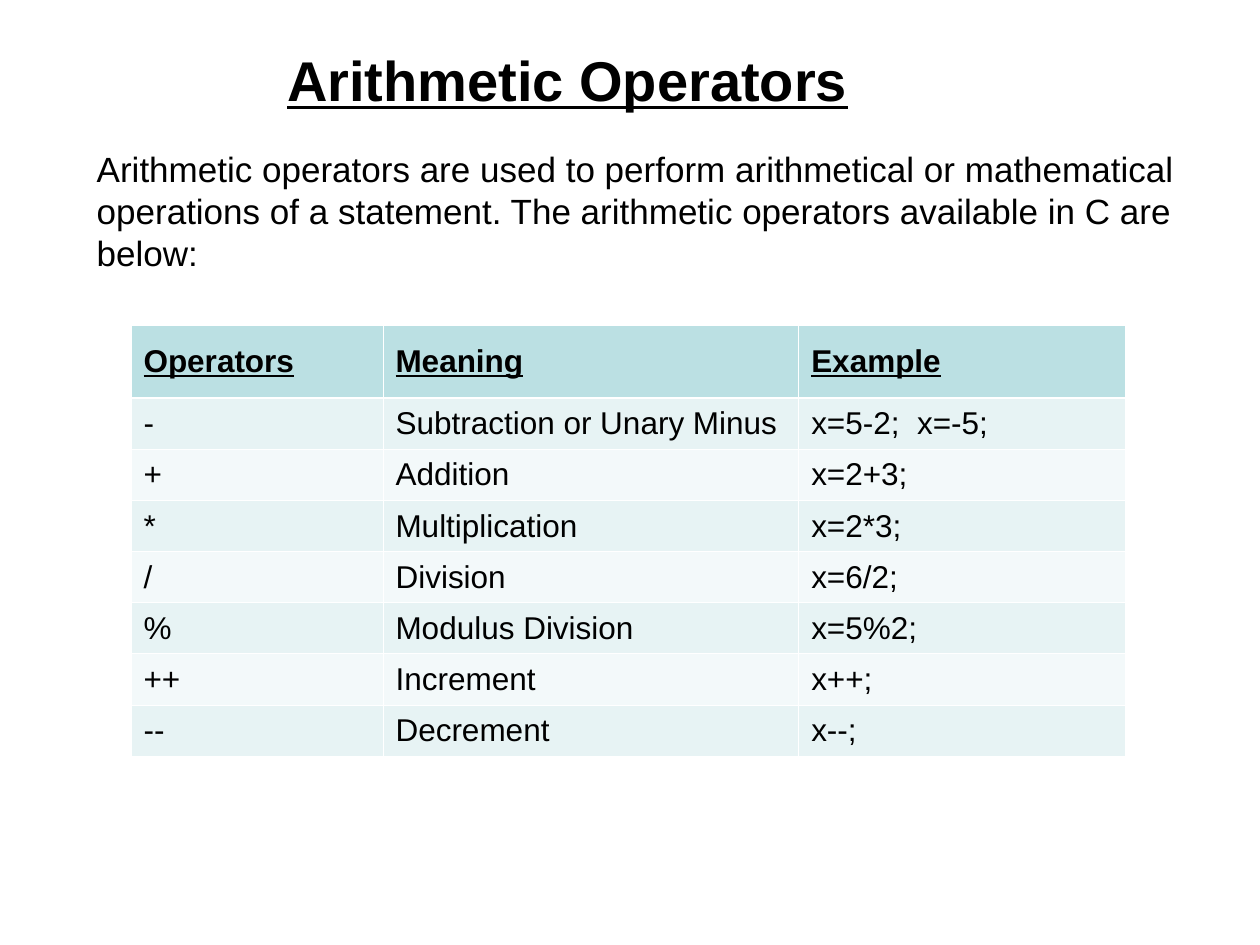
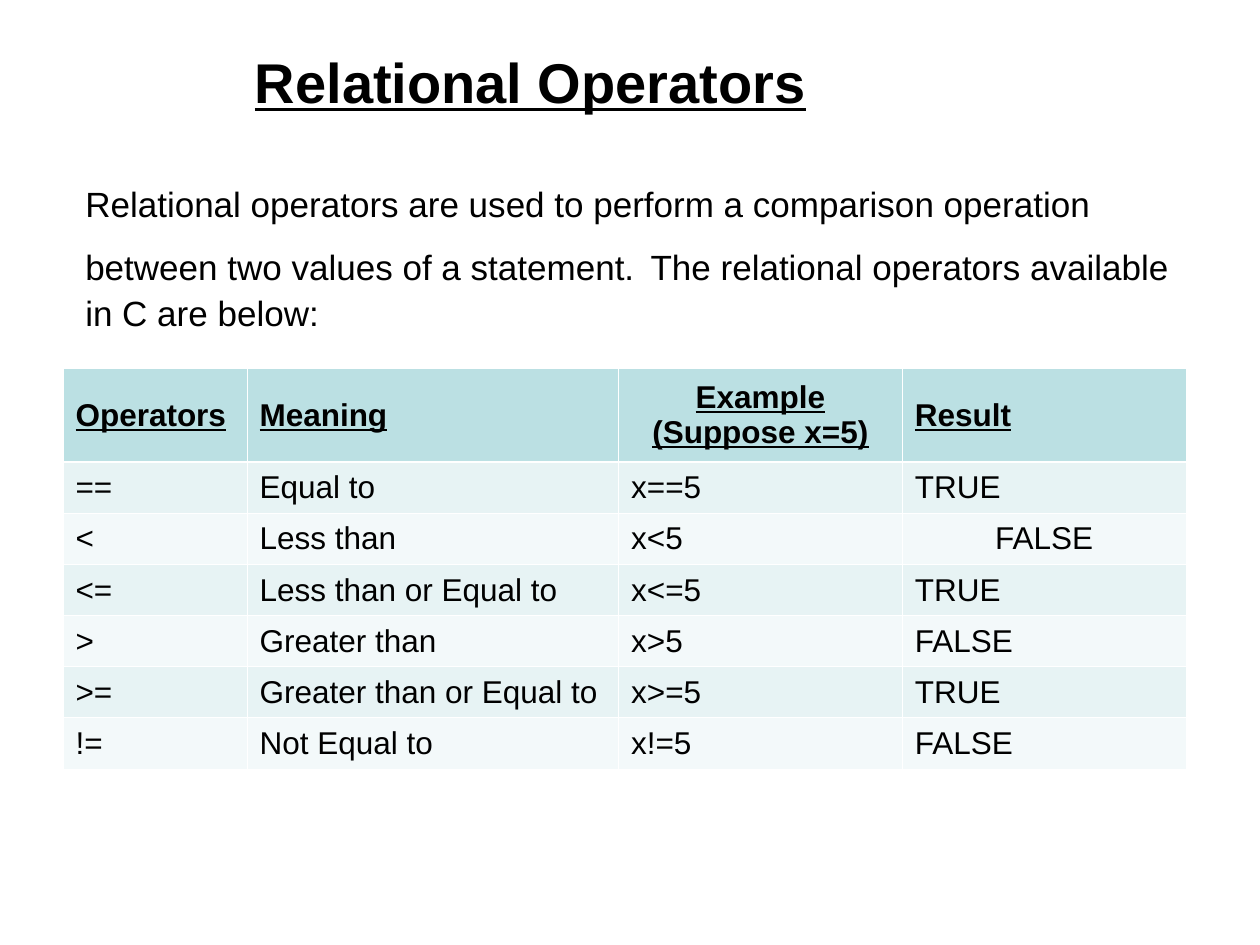
from dataclasses import dataclass

from lxml.etree import SubElement
from pptx import Presentation
from pptx.dml.color import RGBColor
from pptx.enum.text import MSO_ANCHOR, PP_ALIGN
from pptx.oxml.ns import qn
from pptx.slide import Slide
from pptx.table import _Cell
from pptx.text.text import _Paragraph
from pptx.util import Cm, Pt


@dataclass(frozen=True)
class Theme:
    font: str = "Arial"
    ink: str = "000000"
    header_fill: str = "BBE0E3"
    band_fills: tuple[str, str] = ("E7F3F4", "F3F9FA")
    border: str = "FFFFFF"
    thin_border: float = 0.45
    thick_border: float = 1.47
    title_size: int = 32
    intro_size: int = 20
    table_size: int = 18


@dataclass(frozen=True)
class Area:
    left: float
    top: float
    width: float
    height: float


@dataclass(frozen=True)
class Span:
    text: str
    size: int
    strong: bool = False


@dataclass(frozen=True)
class OperatorTable:
    left: float
    top: float
    columns: tuple[float, ...]
    header_height: float
    rows: tuple[tuple[str, ...], ...]
    centred: tuple[tuple[int, int], ...] = ()


@dataclass(frozen=True)
class OperatorPage:
    title: str
    title_area: Area
    intro: tuple[Span, ...]
    intro_area: Area
    table: OperatorTable


THEME = Theme()
ROW_HEIGHT = 1.03

PAGES = (
    OperatorPage(
        title="Arithmetic Operators",
        title_area=Area(4.24, 0.64, 14.4, 1.9),
        intro=(
            Span("Arithmetic operators are used to perform arithmetical or "
                 "mathematical operations of a statement. The arithmetic "
                 "operators available in C are below:", THEME.intro_size),
        ),
        intro_area=Area(1.7, 2.97, 22.23, 2.54),
        table=OperatorTable(
            left=2.64, top=6.56, columns=(5.08, 8.38, 6.58), header_height=1.47,
            rows=(
                ("Operators", "Meaning", "Example"),
                ("-", "Subtraction or Unary Minus", "x=5-2;  x=-5;"),
                ("+", "Addition", "x=2+3;"),
                ("*", "Multiplication", "x=2*3;"),
                ("/", "Division", "x=6/2;"),
                ("%", "Modulus Division", "x=5%2;"),
                ("++", "Increment", "x++;"),
                ("--", "Decrement", "x--;"),
            ),
        ),
    ),
    OperatorPage(
        title="Relational Operators",
        title_area=Area(4.45, 0.43, 12.5, 2.41),
        intro=(
            Span("Relational operators are used to perform a comparison "
                 "operation between two values of a statement.", THEME.intro_size),
            Span(" ", THEME.title_size),
            Span("The relational operators available in C are below:",
                 THEME.intro_size),
        ),
        intro_area=Area(1.47, 3.61, 22.66, 3.18),
        table=OperatorTable(
            left=1.27, top=7.42, columns=(3.71, 7.49, 5.72, 5.72), header_height=1.9,
            rows=(
                ("Operators", "Meaning", "Example (Suppose x=5)", "Result"),
                ("==", "Equal to", "x==5", "TRUE"),
                ("<", "Less than", "x<5", "FALSE"),
                ("<=", "Less than or Equal to", "x<=5", "TRUE"),
                (">", "Greater than", "x>5", "FALSE"),
                (">=", "Greater than or Equal to", "x>=5", "TRUE"),
                ("!=", "Not Equal to", "x!=5", "FALSE"),
            ),
            centred=((0, 2), (2, 3)),
        ),
    ),
)


# Text
def write_spans(para: _Paragraph, spans: tuple[Span, ...], align: PP_ALIGN) -> None:
    para.alignment = align
    for span in spans:
        run = para.add_run()
        run.text = span.text
        run.font.name = THEME.font
        run.font.size = Pt(span.size)
        run.font.bold = run.font.underline = span.strong
        run.font.color.rgb = RGBColor.from_string(THEME.ink)


def add_text(page: Slide, area: Area, spans: tuple[Span, ...],
             align: PP_ALIGN = PP_ALIGN.LEFT) -> None:
    box = page.shapes.add_textbox(Cm(area.left), Cm(area.top),
                                  Cm(area.width), Cm(area.height))
    frame = box.text_frame
    frame.word_wrap = True
    frame.vertical_anchor = MSO_ANCHOR.MIDDLE
    write_spans(frame.paragraphs[0], spans, align)


# Table
def set_borders(cell: _Cell, row: int) -> None:
    widths = {side: THEME.thin_border for side in ("lnL", "lnR", "lnT", "lnB")}
    if row == 0:
        widths["lnB"] = THEME.thick_border
    elif row == 1:
        widths["lnT"] = THEME.thick_border
    properties = cell._tc.get_or_add_tcPr()
    for side, width in widths.items():
        line = SubElement(properties, qn(f"a:{side}"), w=str(Pt(width)))
        fill = SubElement(line, qn("a:solidFill"))
        SubElement(fill, qn("a:srgbClr"), val=THEME.border)


def add_operator_table(page: Slide, spec: OperatorTable) -> None:
    heights = [spec.header_height] + [ROW_HEIGHT] * (len(spec.rows) - 1)
    table = page.shapes.add_table(
        len(spec.rows), len(spec.columns), Cm(spec.left), Cm(spec.top),
        Cm(sum(spec.columns)), Cm(sum(heights))).table
    table.horz_banding = False
    for column, width in zip(table.columns, spec.columns):
        column.width = Cm(width)
    for row, (texts, height) in enumerate(zip(spec.rows, heights)):
        table.rows[row].height = Cm(height)
        is_header = row == 0
        fill = THEME.header_fill if is_header else THEME.band_fills[(row - 1) % 2]
        for column, text in enumerate(texts):
            cell = table.cell(row, column)
            cell.vertical_anchor = MSO_ANCHOR.MIDDLE
            set_borders(cell, row)
            cell.fill.solid()
            cell.fill.fore_color.rgb = RGBColor.from_string(fill)
            centred = (row, column) in spec.centred
            write_spans(cell.text_frame.paragraphs[0],
                        (Span(text, THEME.table_size, strong=is_header),),
                        PP_ALIGN.CENTER if centred else PP_ALIGN.LEFT)


# Deck
def main() -> None:
    deck = Presentation()
    deck.slide_width, deck.slide_height = Cm(25.4), Cm(19.05)
    for content in PAGES:
        page = deck.slides.add_slide(deck.slide_layouts[6])
        title = Span(content.title, THEME.title_size, strong=True)
        add_text(page, content.title_area, (title,), PP_ALIGN.CENTER)
        add_operator_table(page, content.table)
        add_text(page, content.intro_area, content.intro)
    deck.save("out.pptx")


if __name__ == "__main__":
    main()
